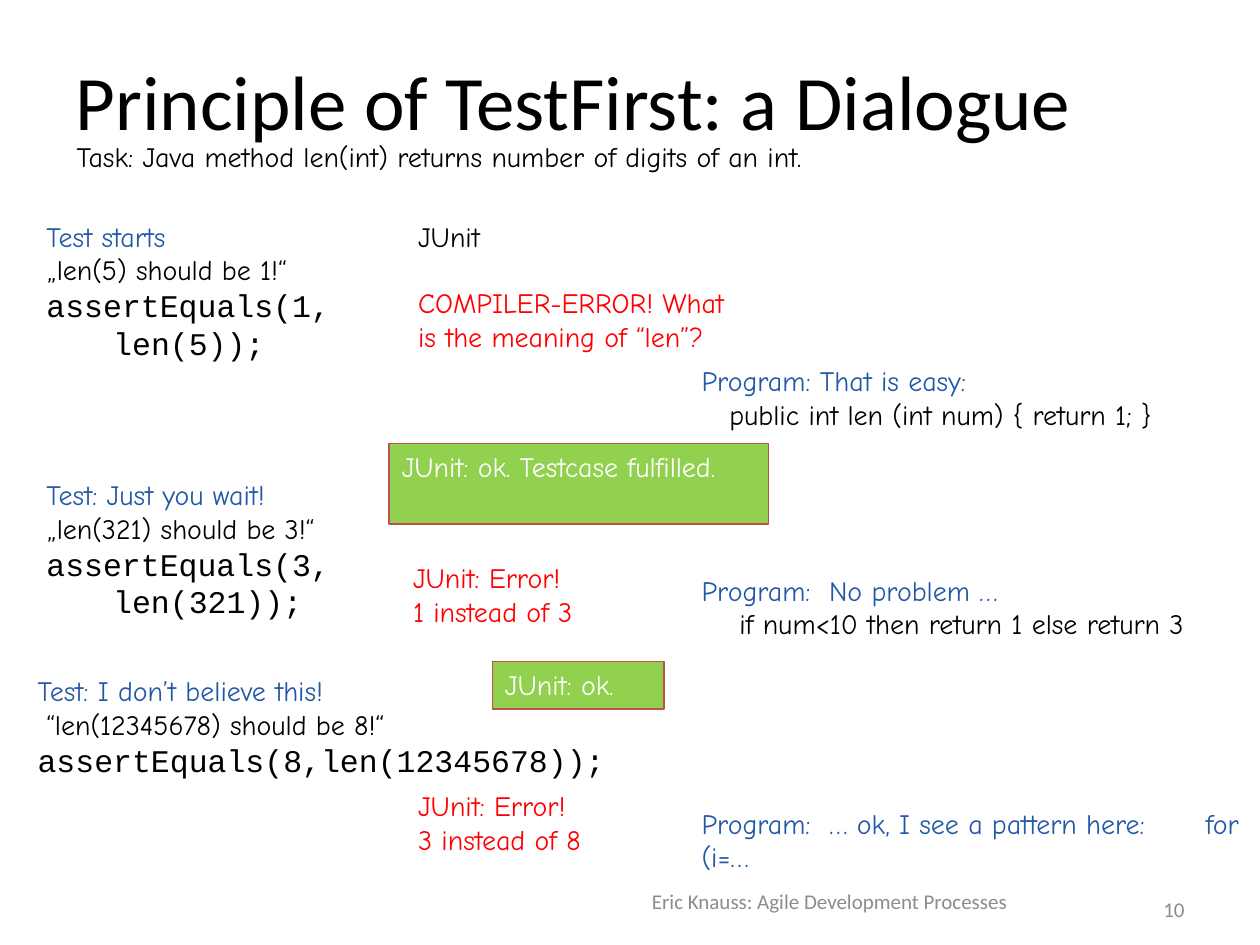
from dataclasses import dataclass

from lxml.etree import SubElement
from pptx import Presentation
from pptx.dml.color import RGBColor
from pptx.enum.shapes import MSO_SHAPE
from pptx.enum.text import MSO_ANCHOR, PP_ALIGN
from pptx.oxml.ns import qn
from pptx.util import Inches, Pt


@dataclass(frozen=True)
class Style:
    """Typeface, size and colour of a line of text."""
    font: str
    size: int
    color: str


@dataclass(frozen=True)
class Theme:
    """All colours and type sizes of the deck."""
    title: Style = Style("Calibri", 44, "000000")
    footer: Style = Style("Calibri", 12, "8C8C8C")
    plain: Style = Style("Comic Neue", 16, "000000")
    speaker: Style = Style("Comic Neue", 16, "2358A7")
    error: Style = Style("Comic Neue", 16, "FF0000")
    success: Style = Style("Comic Neue", 16, "FFFFFF")
    code: Style = Style("Courier New", 18, "000000")
    success_fill: str = "92D050"
    success_line: str = "C0504D"


@dataclass(frozen=True)
class Line:
    """One paragraph with its style, indent and tab in inches, and gap in points."""
    text: str
    style: Style
    indent: float = 0
    gap: int = 0
    tab: float = 0


class DialogueSlide:
    """Holds the theme and the current slide and adds elements to it."""

    def __init__(self, deck, theme):
        self.theme = theme
        self.slide = deck.slides.add_slide(deck.slide_layouts[5])

    def set_lines(self, shape, lines, anchor=MSO_ANCHOR.TOP, align=PP_ALIGN.LEFT):
        """Fill a shape with styled lines."""
        frame = shape.text_frame
        frame.text = "\n".join(line.text for line in lines)
        frame.word_wrap = True
        frame.vertical_anchor = anchor
        for para, line in zip(frame.paragraphs, lines):
            para.alignment = align
            para.space_before = Pt(line.gap)
            properties = para._p.get_or_add_pPr()
            properties.set("marL", str(Inches(line.indent)))
            properties.set("indent", "0")
            if line.tab:
                stops = SubElement(properties, qn("a:tabLst"))
                SubElement(stops, qn("a:tab"), pos=str(Inches(line.tab)), algn="l")
            for span in para.runs:
                span.font.name = line.style.font
                span.font.size = Pt(line.style.size)
                span.font.color.rgb = RGBColor.from_string(line.style.color)

    def title(self, text, left, top, width, height):
        """Place the title in its placeholder."""
        shape = self.slide.shapes.title
        shape.left, shape.top = Inches(left), Inches(top)
        shape.width, shape.height = Inches(width), Inches(height)
        self.set_lines(shape, [Line(text, self.theme.title)], MSO_ANCHOR.MIDDLE)

    def text(self, left, top, width, height, *lines, **layout):
        """Add a text box."""
        box = self.slide.shapes.add_textbox(
            Inches(left), Inches(top), Inches(width), Inches(height))
        self.set_lines(box, lines, **layout)

    def success(self, text, left, top, width, height):
        """Add a green box that reports a passed test."""
        box = self.slide.shapes.add_shape(
            MSO_SHAPE.RECTANGLE,
            Inches(left), Inches(top), Inches(width), Inches(height))
        box.shadow.inherit = False
        box.fill.solid()
        box.fill.fore_color.rgb = RGBColor.from_string(self.theme.success_fill)
        box.line.color.rgb = RGBColor.from_string(self.theme.success_line)
        box.line.width = Pt(1)
        self.set_lines(box, [Line(text, self.theme.success)])


def main():
    """Build the slide and save the deck."""
    deck = Presentation()
    deck.slide_width, deck.slide_height = Inches(10), Inches(7.5)
    theme = Theme()
    page = DialogueSlide(deck, theme)
    test_left, junit_left, program_left = 0.27, 3.22, 5.47
    code_indent = 0.53

    page.title("Principle of TestFirst: a Dialogue", 0.5, 0.32, 9, 0.94)
    page.text(5, 6.95, 3.17, 0.4,
              Line("Eric Knauss: Agile Development Processes", theme.footer),
              anchor=MSO_ANCHOR.MIDDLE, align=PP_ALIGN.CENTER)
    page.text(8.35, 7.09, 1.15, 0.25, Line("10", theme.footer),
              anchor=MSO_ANCHOR.MIDDLE, align=PP_ALIGN.RIGHT)
    page.text(0.51, 1.06, 8.76, 0.37, Line(
        "Task: Java method len(int) returns number of digits of an int.", theme.plain))

    page.text(test_left, 1.69, 2.91, 1.25,
              Line("Test starts", theme.speaker),
              Line("„len(5) should be 1!“", theme.plain),
              Line("assertEquals(1,", theme.code),
              Line("len(5));", theme.code, code_indent))
    page.text(junit_left, 1.69, 2.76, 1.45,
              Line("JUnit", theme.plain),
              Line("COMPILER-ERROR! What is the meaning of “len”?", theme.error, gap=19))
    page.text(program_left, 2.84, 4.25, 0.64,
              Line("Program: That is easy:", theme.speaker),
              Line("public int len (int num) { return 1; }", theme.plain, 0.22))
    page.success("JUnit: ok. Testcase fulfilled.", 3.09, 3.52, 3.01, 0.64)

    page.text(test_left, 3.74, 3.23, 1.55,
              Line("Test: Just you wait!", theme.speaker),
              Line("„len(321) should be 3!“", theme.plain),
              Line("assertEquals(3,", theme.code),
              Line("len(321));", theme.code, code_indent))
    page.text(3.18, 4.4, 2.84, 0.64,
              Line("JUnit: Error!", theme.error),
              Line("1 instead of 3", theme.error))
    page.text(program_left, 4.5, 4.53, 0.64,
              Line("Program:  No problem …", theme.speaker),
              Line("if num<10 then return 1 else return 3", theme.plain, 0.3))

    page.text(0.2, 5.3, 6.16, 0.94,
              Line("Test: I don’t believe this!", theme.speaker),
              Line("“len(12345678) should be 8!“", theme.plain, 0.07),
              Line("assertEquals(8,len(12345678));", theme.code))
    page.success("JUnit: ok.", 3.91, 5.25, 1.36, 0.38)
    page.text(program_left, 6.35, 4.53, 0.64, Line(
        "Program:  … ok, I see a pattern here:\tfor (i=…", theme.speaker, tab=3.73))
    page.text(junit_left, 6.21, 2.76, 0.64,
              Line("JUnit: Error!", theme.error),
              Line("3 instead of 8", theme.error))
    deck.save("out.pptx")


if __name__ == "__main__":
    main()
